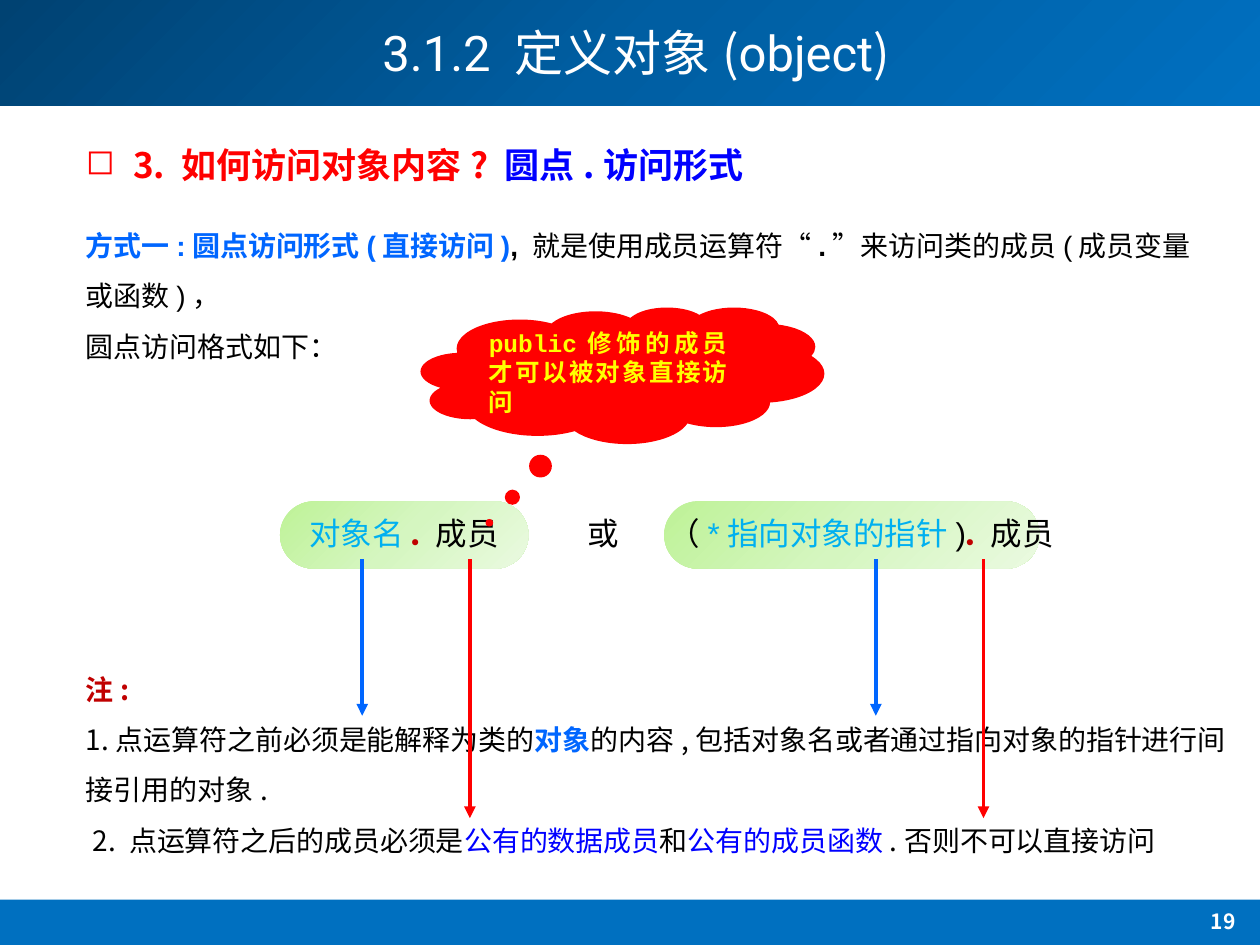
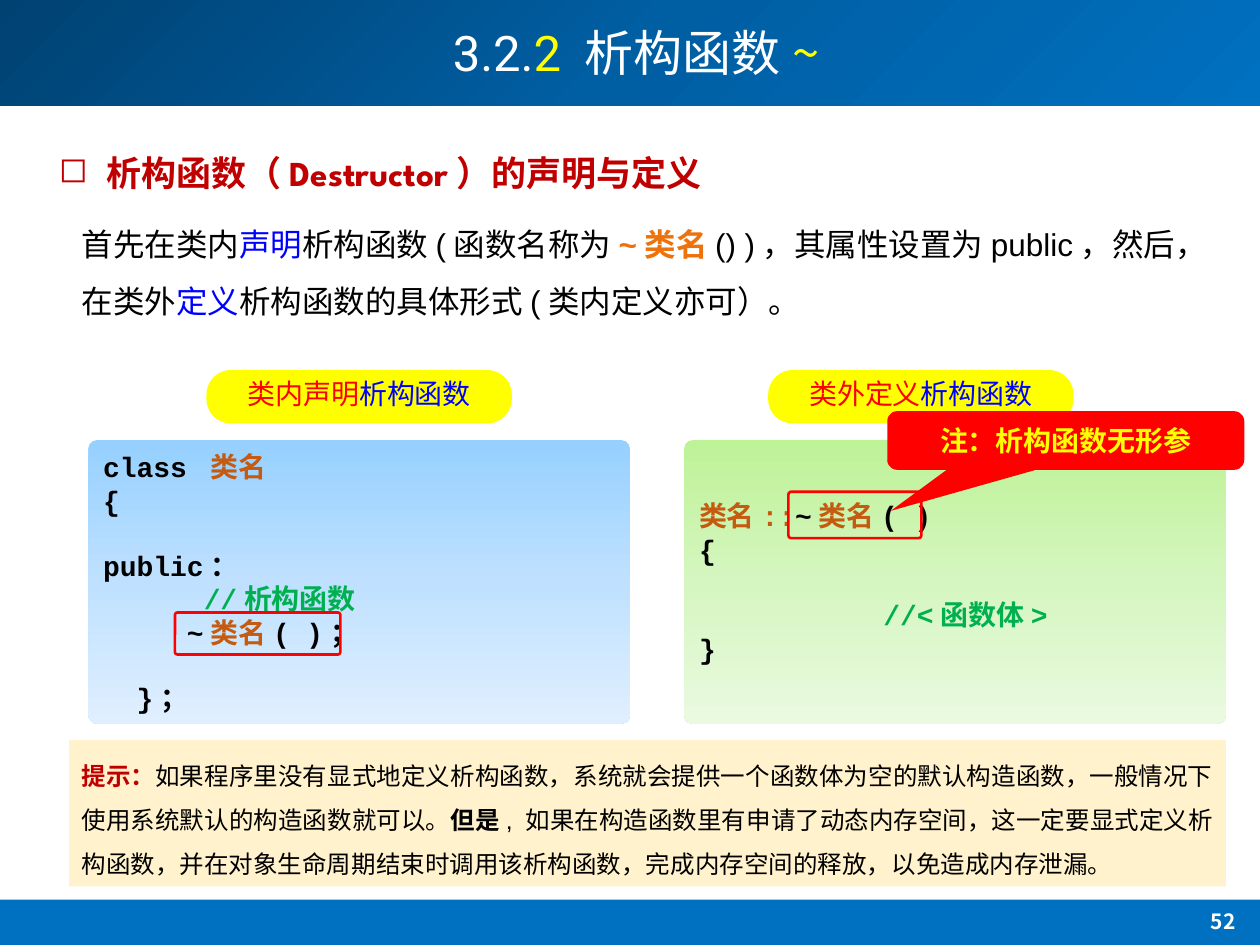
from dataclasses import dataclass
from typing import NamedTuple, Optional, Sequence

from lxml.etree import SubElement
from pptx import Presentation
from pptx.dml.color import RGBColor
from pptx.enum.shapes import MSO_CONNECTOR as Connector, MSO_SHAPE as Preset
from pptx.enum.text import MSO_ANCHOR as Anchor, PP_ALIGN as Align
from pptx.oxml.ns import qn
from pptx.util import Pt

WHITE, BLACK, RED, YELLOW = "FFFFFF", "000000", "FF0000", "FFFF00"
BAND, BLUE, LINK_BLUE, SKY = "0070C0", "0000FF", "0066FF", "00B0F0"
DARK_RED, BROWN, ORANGE, GREEN, CREAM = "C00000", "C55A11", "EE720C", "00B050", "FFF2CC"
TITLE_GRADIENT = ("004272", "005EA2", BAND)
GREEN_GRADIENT = ("BEF297", "D5F6C0", "EAFAE0")
BLUE_GRADIENT = ("96D0FF", "BFE1FF", "E0EFFF")

NOTO, ARIAL, ROBOTO = "Noto Sans CJK SC", "Arial", "Roboto"
CODE, MONTSERRAT, SPARTAN = "Courier New", "Montserrat", "League Spartan"


class Box(NamedTuple):
    left: float
    top: float
    width: float
    height: float


class Span(NamedTuple):
    text: str
    color: str = BLACK
    bold: bool = False
    font: Optional[str] = None


@dataclass
class Para:
    spans: Sequence[Span]
    align: Align = Align.LEFT
    spacing: float = 1
    before: float = 0
    indent: float = 0
    bullet: str = ""


@dataclass
class Text:
    paras: Sequence[Para]
    size: float
    font: str = ARIAL
    anchor: Anchor = Anchor.TOP


@dataclass
class Look:
    fill: Sequence[str] = ()
    angle: int = 45
    line: str = ""
    adjustments: Sequence[float] = ()


class Arrow(NamedTuple):
    x: float
    bottom: float
    color: str


def rgb(color: str) -> RGBColor:
    return RGBColor.from_string(color)


def points(box: Box) -> list:
    return [Pt(length) for length in box]


def set_bullet(para, item: Para) -> None:
    """Apply the left indent, and hang the bullet in it if there is one."""
    properties = para._p.get_or_add_pPr()
    properties.set("marL", str(Pt(item.indent)))
    if item.bullet:
        properties.set("indent", str(-Pt(item.indent)))
        SubElement(properties, qn("a:buChar")).set("char", item.bullet)


def write(frame, text: Text) -> None:
    frame.word_wrap = True
    frame.vertical_anchor = text.anchor
    for number, item in enumerate(text.paras):
        para = frame.add_paragraph() if number else frame.paragraphs[0]
        para.alignment = item.align
        para.line_spacing = item.spacing
        if item.before:
            para.space_before = Pt(item.before)
        if item.indent:
            set_bullet(para, item)
        for span in item.spans:
            run = para.add_run()
            run.text = span.text
            run.font.size = Pt(text.size)
            run.font.name = span.font or text.font
            run.font.bold = span.bold
            run.font.color.rgb = rgb(span.color)
            SubElement(run._r.get_or_add_rPr(), qn("a:ea")).set("typeface", NOTO)


def add_text(page, box: Box, text: Text) -> None:
    write(page.shapes.add_textbox(*points(box)).text_frame, text)


def fill_gradient(shape, colors: Sequence[str], angle: int) -> None:
    """Spread the colours evenly, with the angle measured clockwise."""
    shape.fill.gradient()
    shape.fill.gradient_angle = 360 - angle
    stops = shape._element.spPr.find(".//" + qn("a:gsLst"))
    stops.clear()
    for number, color in enumerate(colors):
        stop = SubElement(stops, qn("a:gs"))
        stop.set("pos", str(100000 * number // (len(colors) - 1)))
        SubElement(stop, qn("a:srgbClr")).set("val", color)


def add_shape(page, preset: Preset, box: Box, look: Look, text: Optional[Text] = None) -> None:
    shape = page.shapes.add_shape(preset, *points(box))
    shape.shadow.inherit = False
    for number, value in enumerate(look.adjustments):
        shape.adjustments[number] = value
    if len(look.fill) > 1:
        fill_gradient(shape, look.fill, look.angle)
    elif look.fill:
        shape.fill.solid()
        shape.fill.fore_color.rgb = rgb(look.fill[0])
    else:
        shape.fill.background()
    if look.line:
        shape.line.color.rgb = rgb(look.line)
        shape.line.width = Pt(1.5)
    else:
        shape.line.fill.background()
    if text:
        write(shape.text_frame, text)


def add_arrow(page, arrow: Arrow, top: float) -> None:
    x = Pt(arrow.x)
    connector = page.shapes.add_connector(Connector.STRAIGHT, x, Pt(top), x, Pt(arrow.bottom))
    connector.line.color.rgb = rgb(arrow.color)
    connector.line.width = Pt(2.25)
    properties = connector._element.spPr
    SubElement(properties.find(qn("a:ln")), qn("a:tailEnd")).set("type", "triangle")
    SubElement(properties, qn("a:effectLst"))


def add_page(deck, number: int, title: Sequence[Span]):
    """Add a page with the title band, the footer band and the page number."""
    page = deck.slides.add_slide(deck.slide_layouts[6])
    add_shape(page, Preset.RECTANGLE, Box(0, 0, 720, 60.5), Look(TITLE_GRADIENT))
    add_shape(page, Preset.RECTANGLE, Box(0, 514, 720, 26), Look([BAND]))
    add_text(page, Box(678, 515.5, 42, 26),
             Text([Para([Span(str(number), WHITE, True)], Align.CENTER)], 12, NOTO))
    add_text(page, Box(61, 0, 605, 64),
             Text([Para(title, Align.CENTER, 0.9)], 28, NOTO, Anchor.MIDDLE))
    return page


def add_heading(page, left: float, top: float, font: str, spans: Sequence[Span]) -> None:
    add_text(page, Box(left, top, 563, 32), Text([Para(spans, indent=27, bullet="◻")], 20, font))


def add_access_page(deck) -> None:
    page = add_page(deck, 19, [
        Span("3.1.2 ", WHITE, font=ROBOTO), Span("定义对象(", WHITE),
        Span("object", WHITE, font=ROBOTO), Span(")", WHITE)])
    for left, width in ((379.5, 214.5), (160, 142)):
        add_shape(page, Preset.ROUNDED_RECTANGLE, Box(left, 286.5, width, 38.5),
                  Look(GREEN_GRADIENT, adjustments=[0.5]))
    add_heading(page, 42, 78.5, NOTO, [
        Span("3. 如何访问对象内容? ", RED, True), Span("圆点.访问形式", BLUE, True)])
    add_text(page, Box(42, 117.5, 659, 63), Text([
        Para([Span("方式一:圆点访问形式(直接访问)", LINK_BLUE, True), Span(", ", bold=True),
              Span("就是使用成员运算符“"), Span(".", bold=True),
              Span("”来访问类的成员(成员变量或函数)，")], spacing=1.5),
        Para([Span("圆点访问格式如下：")], spacing=1.5)], 16))

    member = [Span(". ", DARK_RED, True, MONTSERRAT), Span("成员")]
    formats = (
        (169.5, 170, [Span("对象名", SKY), *member]),
        (375, 345, [Span("（"), Span("*指向对象的指针", SKY), Span(")"), *member]),
        (328.5, 40, [Span("或")]),
    )
    for left, width, spans in formats:
        add_text(page, Box(left, 290, width, 29), Text([Para(spans)], 18))

    add_text(page, Box(42, 371, 674, 153), Text([
        Para([Span("注:", DARK_RED, True)], spacing=1.5),
        Para([Span("1.点运算符之前必须是能解释为类的"), Span("对象", LINK_BLUE, True),
              Span("的内容,包括对象名或者通过指向对象的指针进行间接引用的对象.")], spacing=1.5),
        Para([Span("2. 点运算符之后的成员必须是"), Span("公有的数据成员", BLUE), Span("和"),
              Span("公有的成员函数", BLUE), Span(".否则不可以直接访问")],
             spacing=1.5, indent=4)], 16, NOTO))
    add_shape(page, Preset.CLOUD_CALLOUT, Box(240.5, 175.5, 230.5, 78),
              Look([RED], adjustments=[-0.33, 1.08]),
              Text([Para([Span("public修饰", YELLOW, True, CODE),
                          Span("的成员才可以被对象直接访问", YELLOW, True)], Align.JUSTIFY)],
                   14, NOTO, Anchor.MIDDLE))
    for x, bottom, color in ((207, 409, LINK_BLUE), (268.5, 467.5, RED)):
        for offset in (0, 293.5):
            add_arrow(page, Arrow(x + offset, bottom, color), 319.5)


def code_line(*spans: Span, before: float = 0) -> Para:
    return Para([span._replace(bold=True) for span in spans], before=before)


def add_destructor_page(deck) -> None:
    page = add_page(deck, 52, [
        Span("3.2.", WHITE, font=ROBOTO), Span("2 ", YELLOW, font=ROBOTO),
        Span("析构函数", WHITE), Span("~", YELLOW)])
    add_heading(page, 26.5, 83, ARIAL, [
        Span("析构函数（", DARK_RED, True), Span("Destructor", DARK_RED, True, SPARTAN),
        Span("）的声明与定义", DARK_RED, True)])
    add_text(page, Box(39.5, 114.5, 661, 73), Text([
        Para([Span("首先在类内"), Span("声明", BLUE), Span("析构函数(函数名称为"),
              Span("~类名", ORANGE, True), Span("() )，其属性设置为public，然后，在类外"),
              Span("定义", BLUE), Span("析构函数的具体形式(类内定义亦可）。")], spacing=1.5)], 18))

    for left, label in ((118, "类内声明"), (439, "类外定义")):
        add_shape(page, Preset.ROUNDED_RECTANGLE, Box(left, 211.5, 174.5, 30.5),
                  Look([YELLOW], adjustments=[0.46]))
        add_text(page, Box(left - 2, 211.5, 178.5, 27), Text(
            [Para([Span(label, RED), Span("析构函数", BLUE)], Align.CENTER)], 16, NOTO))

    class_name = Span("类名", BROWN)
    blank_line = 18
    definition = [
        code_line(Span("类名::", BROWN), Span("~"), class_name, Span("( )")),
        code_line(Span("{")),
        code_line(Span("           "), Span("//<函数体>", GREEN), before=blank_line),
        code_line(Span("}")),
    ]
    declaration = [
        code_line(Span("class "), class_name),
        code_line(Span("{")),
        code_line(Span("public："), before=blank_line),
        code_line(Span("      "), Span("//析构函数", GREEN)),
        code_line(Span("     ~"), class_name, Span("( )；")),
        code_line(Span("  }；"), before=blank_line),
    ]
    for left, gradient, code in ((391, GREEN_GRADIENT, definition), (50.5, BLUE_GRADIENT, declaration)):
        add_shape(page, Preset.ROUNDED_RECTANGLE, Box(left, 251.5, 309.5, 162),
                  Look(gradient, 90, adjustments=[0.03]), Text(code, 16, CODE, Anchor.MIDDLE))

    add_shape(page, Preset.ROUNDED_RECTANGULAR_CALLOUT, Box(507, 235, 204, 33.5),
              Look([RED], adjustments=[-0.49, 1.2, 0.17]),
              Text([Para([Span("注：析构函数无形参", YELLOW, True)], Align.CENTER)],
                   16, NOTO, Anchor.MIDDLE))
    for frame in (Box(100, 350, 94.5, 24), Box(450.5, 281, 76, 26.5)):
        add_shape(page, Preset.ROUNDED_RECTANGLE, frame, Look(line=RED, adjustments=[0.06]))
    add_shape(page, Preset.RECTANGLE, Box(39.5, 423, 661, 83.5), Look([CREAM]), Text([
        Para([Span("提示：", DARK_RED, True),
              Span("如果程序里没有显式地定义析构函数，系统就会提供一个函数体为空的默认构造函数，"
                   "一般情况下使用系统默认的构造函数就可以。"),
              Span("但是", bold=True),
              Span(", 如果在构造函数里有申请了动态内存空间，这一定要显式定义析构函数，"
                   "并在对象生命周期结束时调用该析构函数，完成内存空间的释放，以免造成内存泄漏。")],
             Align.JUSTIFY, 1.5)], 14))


def main() -> None:
    deck = Presentation()
    deck.slide_width, deck.slide_height = Pt(720), Pt(540)
    add_access_page(deck)
    add_destructor_page(deck)
    deck.save("out.pptx")


if __name__ == "__main__":
    main()
